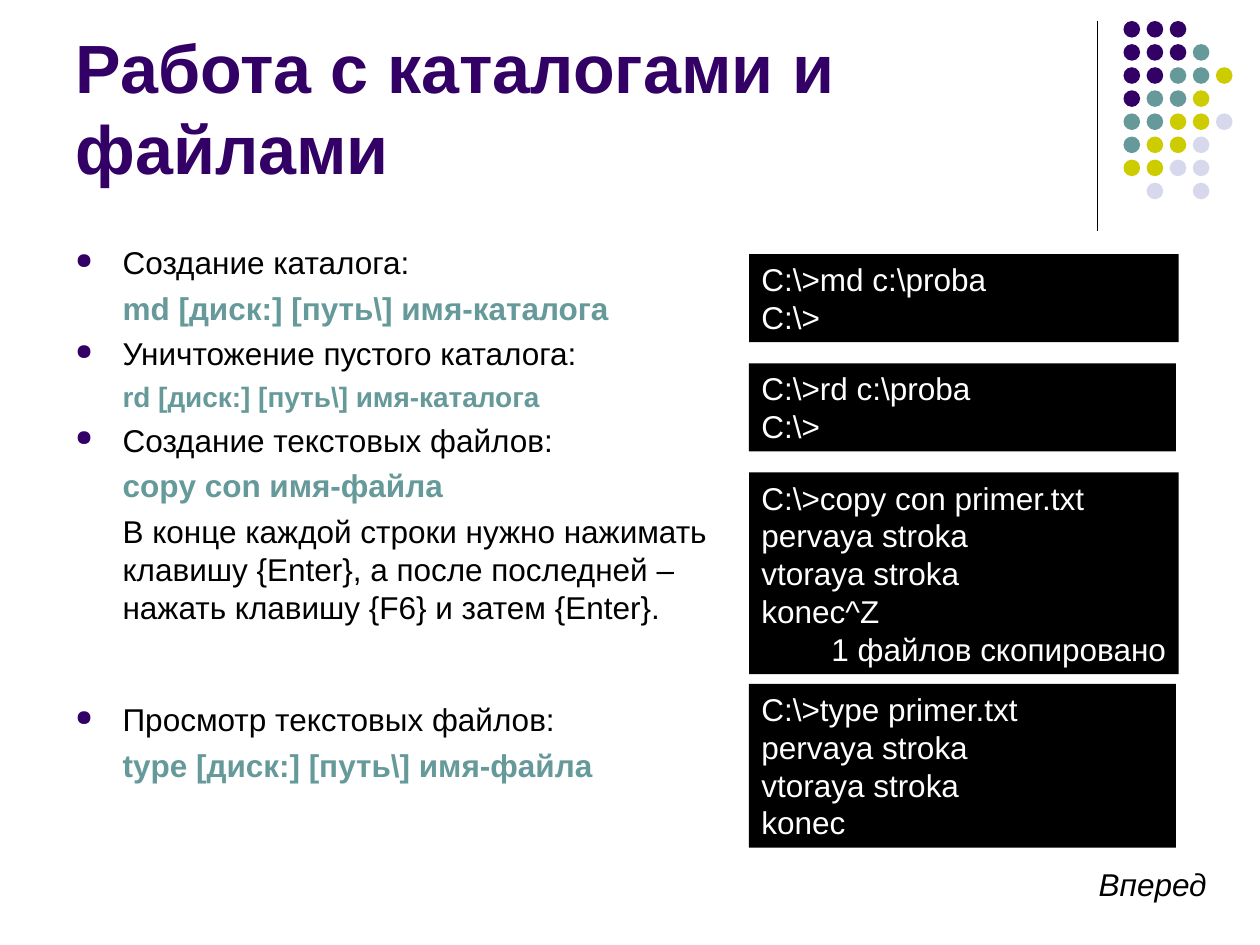
from lxml import etree
from pptx import Presentation
from pptx import util as u
from pptx.dml.color import RGBColor
from pptx.enum import shapes, text
from pptx.oxml import ns

Pt = u.Pt
FONT = "Arial"
PURPLE = RGBColor(0x33, 0x00, 0x66)
TEAL = RGBColor(0x66, 0x99, 0x99)
OLIVE = RGBColor(0xCC, 0xCC, 0x00)
LAVENDER = RGBColor(0xD8, 0xD8, 0xEC)
BLACK = RGBColor(0, 0, 0)
WHITE = RGBColor(0xFF, 0xFF, 0xFF)

# Dot pattern: one letter per colour, a space where no dot stands
DOT_COLORS = {"P": PURPLE, "T": TEAL, "O": OLIVE, "L": LAVENDER}
DOT_ROWS = ["PPP", "PPPT", "PPTTO", "PTTO", "TTOOL", "TOOL", "OOLL", " L L"]

# Notes: wording, kind, size, space before
NOTES = [
    ("Создание каталога:", "bullet", 18, 4.5),
    ("md [диск:] [путь\\] имя-каталога", "command", 18, 4.5),
    ("Уничтожение пустого каталога:", "bullet", 18, 4.5),
    ("rd [диск:] [путь\\] имя-каталога", "command", 16, 4),
    ("Создание текстовых файлов:", "bullet", 18, 4.5),
    ("copy con имя-файла", "command", 18, 4.5),
    ("В конце каждой строки нужно нажимать клавишу {Enter}, а после последней – "
     "нажать клавишу {F6} и затем {Enter}.", "plain", 18, 4.5),
    ("Просмотр текстовых файлов:", "bullet", 18, 42.5),
    ("type [диск:] [путь\\] имя-файла", "command", 18, 4.5),
]

# Consoles: top, width, height, lines
CONSOLES = [
    (145.2, 245.5, 50.4, ["C:\\>md c:\\proba", "C:\\>"]),
    (207.6, 244, 50.4, ["C:\\>rd c:\\proba", "C:\\>"]),
    (270, 245.5, 115.2, ["C:\\>copy con primer.txt", "pervaya stroka",
                         "vtoraya stroka", "konec^Z", "1 файлов скопировано"]),
    (390.8, 244, 93.6, ["C:\\>type primer.txt", "pervaya stroka",
                        "vtoraya stroka", "konec"]),
]


def style(paragraph, size, color, bold=False, italic=False):
    font = paragraph.font
    font.name, font.size, font.bold, font.italic = FONT, Pt(size), bold, italic
    font.color.rgb = color


def add_paragraph(frame, index, wording):
    paragraph = frame.add_paragraph() if index else frame.paragraphs[0]
    paragraph.text = wording
    return paragraph


def set_indent(paragraph, bulleted):
    properties = paragraph._p.get_or_add_pPr()
    properties.set("marL", str(Pt(27)))
    properties.set("indent", str(Pt(-27) if bulleted else 0))
    if bulleted:
        color = etree.SubElement(properties, ns.qn("a:buClr"))
        etree.SubElement(color, ns.qn("a:srgbClr"), val=str(PURPLE))
        etree.SubElement(properties, ns.qn("a:buSzPct"), val="70000")
        etree.SubElement(properties, ns.qn("a:buChar"), char="●")


def add_divider(slide):
    line = slide.shapes.add_connector(
        shapes.MSO_CONNECTOR.STRAIGHT, Pt(627), Pt(12), Pt(627), Pt(132))
    line.line.color.rgb = BLACK
    line.line.width = Pt(0.75)
    etree.SubElement(line._element.spPr, ns.qn("a:effectLst"))


def add_block(slide, preset, left, top, width, height, color):
    block = slide.shapes.add_shape(preset, Pt(left), Pt(top), Pt(width), Pt(height))
    block.shadow.inherit = False
    block.fill.solid()
    block.fill.fore_color.rgb = color
    block.line.fill.background()
    return block


def add_dots(slide):
    pitch, size = 13.2, 9.5
    for row, letters in enumerate(DOT_ROWS):
        for column, letter in enumerate(letters):
            if letter in DOT_COLORS:
                add_block(slide, shapes.MSO_SHAPE.OVAL, 642 + column * pitch,
                          12 + row * pitch, size, size, DOT_COLORS[letter])


def set_title(slide, wording):
    title = slide.shapes.title
    title.left, title.top, title.width, title.height = Pt(36), Pt(9.4), Pt(594), Pt(102)
    frame = title.text_frame
    frame.text = wording
    frame.auto_size = text.MSO_AUTO_SIZE.NONE
    frame.vertical_anchor = text.MSO_ANCHOR.BOTTOM
    frame.paragraphs[0].alignment = text.PP_ALIGN.LEFT
    style(frame.paragraphs[0], 39, PURPLE, bold=True)


def add_notes(slide):
    box = slide.shapes.add_textbox(Pt(36), Pt(135.4), Pt(391.7), Pt(355.7))
    frame = box.text_frame
    frame.word_wrap = True
    for index, (wording, kind, size, space) in enumerate(NOTES):
        paragraph = add_paragraph(frame, index, wording)
        paragraph.space_before = Pt(space)
        set_indent(paragraph, kind == "bullet")
        command = kind == "command"
        style(paragraph, size, TEAL if command else BLACK, bold=command)


def add_console(slide, top, width, height, lines):
    console = add_block(slide, shapes.MSO_SHAPE.RECTANGLE, 428, top, width, height, BLACK)
    frame = console.text_frame
    frame.word_wrap = True
    frame.vertical_anchor = text.MSO_ANCHOR.TOP
    for index, wording in enumerate(lines):
        paragraph = add_paragraph(frame, index, wording)
        report = wording.startswith("1 ")
        paragraph.alignment = text.PP_ALIGN.RIGHT if report else text.PP_ALIGN.LEFT
        style(paragraph, 18, WHITE)


def add_forward_label(slide):
    box = slide.shapes.add_textbox(Pt(620.8), Pt(491), Pt(76.3), Pt(28.8))
    box.text_frame.word_wrap = False
    paragraph = add_paragraph(box.text_frame, 0, "Вперед")
    style(paragraph, 18, BLACK, italic=True)


def main():
    deck = Presentation()
    deck.slide_width, deck.slide_height = Pt(720), Pt(540)
    slide = deck.slides.add_slide(deck.slide_layouts[5])

    # Corner decoration
    add_divider(slide)
    add_dots(slide)

    # Title and notes
    set_title(slide, "Работа с каталогами и файлами")
    add_notes(slide)

    # Console examples and link wording
    add_forward_label(slide)
    for console in CONSOLES:
        add_console(slide, *console)

    deck.save("out.pptx")


if __name__ == "__main__":
    main()
